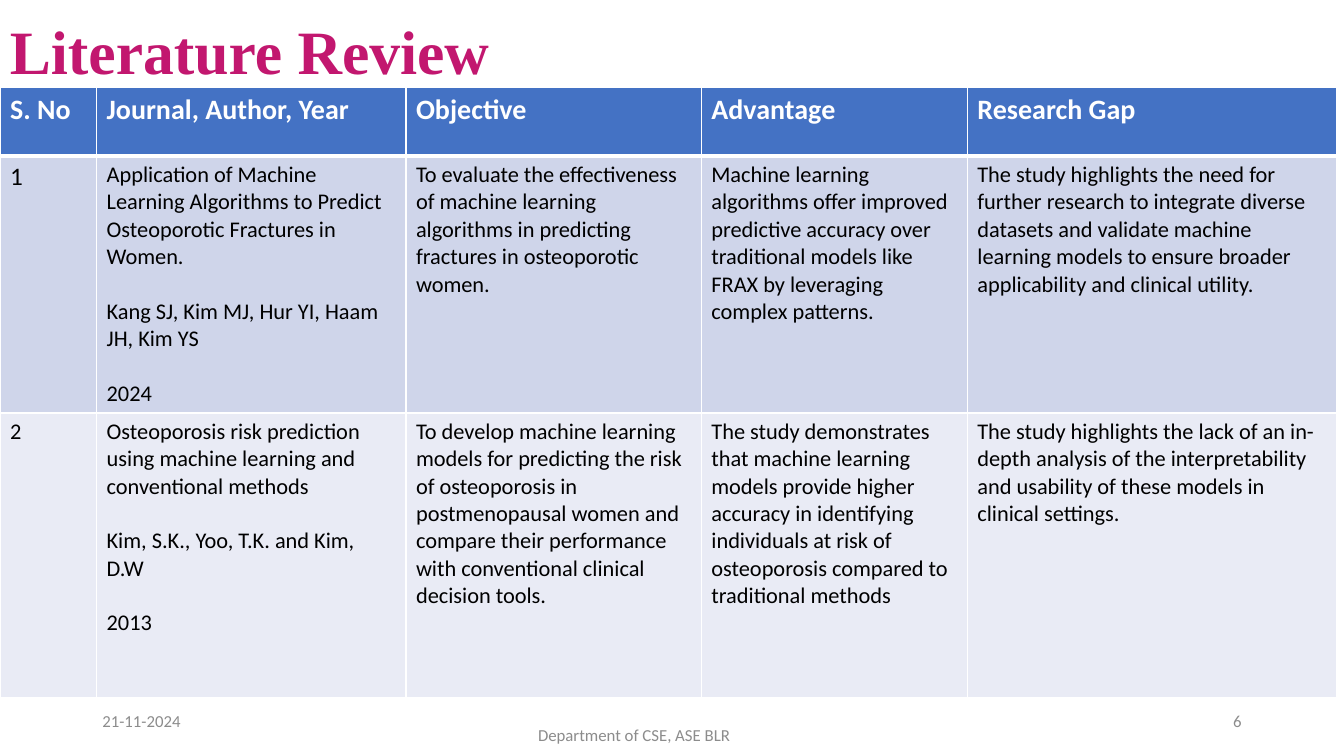
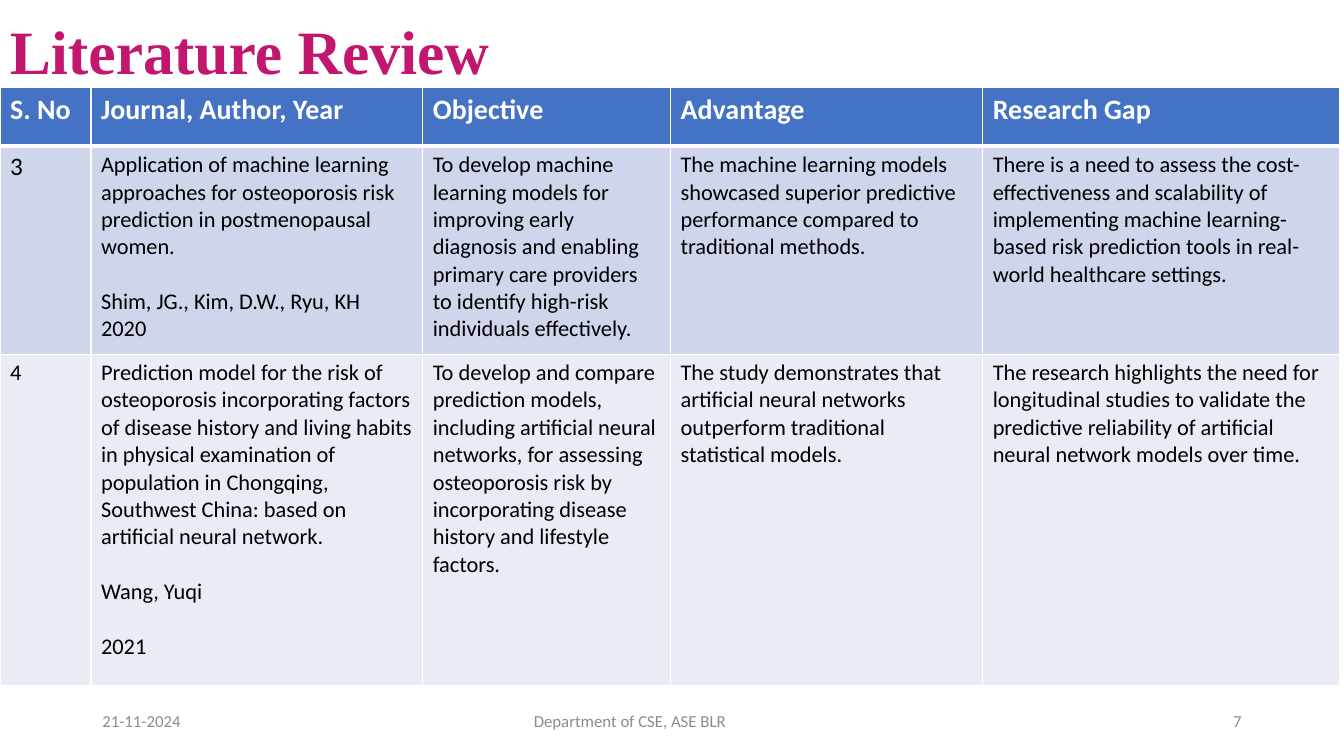
"""Build two literature review slides, each with a table of studies."""
import pptx
import pptx.dml.color
import pptx.enum.text
import pptx.util
import lxml.etree
from dataclasses import dataclass

Pt = pptx.util.Pt
RGB = pptx.dml.color.RGBColor.from_string
ALIGN = pptx.enum.text.PP_ALIGN
MIDDLE = pptx.enum.text.MSO_ANCHOR.MIDDLE
A = "http://schemas.openxmlformats.org/drawingml/2006/main"


@dataclass(frozen=True)
class Theme:
    title_font: str = "Times New Roman"
    body_font: str = "Calibri"
    title: str = "C2176F"
    header: str = "4472C4"
    bands: tuple = ("CFD5EA", "E9EBF5")
    white: str = "FFFFFF"
    text: str = "000000"
    footer: str = "8C8C8C"
    title_size: float = 44
    header_size: float = 20
    number_sizes: tuple = (18, 16)
    body_size: float = 16
    footer_size: float = 12
    line_gap: float = 19.5


theme = Theme()

HEADINGS = ["S. No", "Journal, Author, Year", "Objective", "Advantage", "Research Gap"]

SLIDES = [
    {
        "page": "6",
        "footer_at": (291, 510.5),
        "cols": [69, 221, 211, 190, 264],
        "rows": [49, 183.5, 203],
        "studies": [
            [
                ["1"],
                ["Application of Machine Learning Algorithms to Predict Osteoporotic Fractures in Women.",
                 "Kang SJ, Kim MJ, Hur YI, Haam JH, Kim YS",
                 "2024"],
                ["To evaluate the effectiveness of machine learning algorithms in predicting "
                 "fractures in osteoporotic women."],
                ["Machine learning algorithms offer improved predictive accuracy over traditional "
                 "models like FRAX by leveraging complex patterns."],
                ["The study highlights the need for further research to integrate diverse datasets "
                 "and validate machine learning models to ensure broader applicability and clinical utility."],
            ],
            [
                ["2"],
                ["Osteoporosis risk prediction using machine learning and conventional methods",
                 "Kim, S.K., Yoo, T.K. and Kim, D.W",
                 "2013"],
                ["To develop machine learning models for predicting the risk of osteoporosis in "
                 "postmenopausal women and compare their performance with conventional clinical decision tools."],
                ["The study demonstrates that machine learning models provide higher accuracy in "
                 "identifying individuals at risk of osteoporosis compared to traditional methods"],
                ["The study highlights the lack of an in-depth analysis of the interpretability "
                 "and usability of these models in clinical settings."],
            ],
        ],
    },
    {
        "page": "7",
        "footer_at": (288, 500.5),
        "cols": [65, 237, 177, 223, 255],
        "rows": [42, 148.5, 237],
        "studies": [
            [
                ["3"],
                ["Application of machine learning approaches for osteoporosis risk prediction in "
                 "postmenopausal women.",
                 "Shim, JG., Kim, D.W., Ryu, KH\n2020"],
                ["To develop machine learning models for improving early diagnosis and enabling "
                 "primary care providers to identify high-risk individuals effectively."],
                ["The machine learning models showcased superior predictive performance compared "
                 "to traditional methods."],
                ["There is a need to assess the cost-effectiveness and scalability of implementing "
                 "machine learning-based risk prediction tools in real-world healthcare settings."],
            ],
            [
                ["4"],
                ["Prediction model for the risk of osteoporosis incorporating factors of disease "
                 "history and living habits in physical examination of population in Chongqing, "
                 "Southwest China: based on artificial neural network.",
                 "Wang, Yuqi",
                 "2021"],
                ["To develop and compare prediction models, including artificial neural networks, "
                 "for assessing osteoporosis risk by incorporating disease history and lifestyle factors."],
                ["The study demonstrates that artificial neural networks outperform traditional "
                 "statistical models."],
                ["The research highlights the need for longitudinal studies to validate the "
                 "predictive reliability of artificial neural network models over time."],
            ],
        ],
    },
]


def set_text(tf, paragraphs, font, size, color, bold=False, align=ALIGN.LEFT):
    tf.word_wrap = True
    for i, text in enumerate(paragraphs):
        p = tf.add_paragraph() if i else tf.paragraphs[0]
        p.text = text
        p.alignment = align
        p.font.name, p.font.size, p.font.bold = font, Pt(size), bold
        p.font.color.rgb = RGB(color)
        if i:
            p.space_before = Pt(theme.line_gap)


def style_cell(cell, fill, top, bottom):
    cell.fill.solid()
    cell.fill.fore_color.rgb = RGB(fill)
    tcPr = cell._tc.get_or_add_tcPr()
    for i, (side, width) in enumerate([("L", 1), ("R", 1), ("T", top), ("B", bottom)]):
        ln = lxml.etree.Element(f"{{{A}}}ln{side}", w=str(Pt(width)))
        solid = lxml.etree.SubElement(ln, f"{{{A}}}solidFill")
        lxml.etree.SubElement(solid, f"{{{A}}}srgbClr", val=theme.white)
        tcPr.insert(i, ln)


prs = pptx.Presentation()
prs.slide_width, prs.slide_height = Pt(960), Pt(540)

for content in SLIDES:
    s = prs.slides.add_slide(prs.slide_layouts[6])

    sp = s.shapes.add_textbox(Pt(0), Pt(0), Pt(562), Pt(78))
    sp.text_frame.vertical_anchor = MIDDLE
    set_text(sp.text_frame, ["Literature Review"], theme.title_font, theme.title_size, theme.title, True)
    sp.text_frame.paragraphs[0].line_spacing = 0.9

    cols, rows = content["cols"], content["rows"]
    table = s.shapes.add_table(len(rows), len(cols), Pt(0), Pt(62.5), Pt(sum(cols)), Pt(sum(rows))).table
    table.horz_banding = False
    for column, width in zip(table.columns, cols):
        column.width = Pt(width)
    for row, height in zip(table.rows, rows):
        row.height = Pt(height)

    for c, heading in enumerate(HEADINGS):
        cell = table.cell(0, c)
        style_cell(cell, theme.header, 1, 3)
        set_text(cell.text_frame, [heading], theme.body_font, theme.header_size, theme.white, True)
    for r, study in enumerate(content["studies"]):
        for c, paragraphs in enumerate(study):
            cell = table.cell(r + 1, c)
            style_cell(cell, theme.bands[r], 1 if r else 3, 1)
            size = theme.body_size if c else theme.number_sizes[r]
            set_text(cell.text_frame, paragraphs, theme.body_font, size, theme.text)

    footer_left, footer_top = content["footer_at"]
    for text, left, top, width, align in [
        ("21-11-2024", 66, 500.5, 216, ALIGN.LEFT),
        ("Department of CSE, ASE BLR", footer_left, footer_top, 324, ALIGN.CENTER),
        (content["page"], 678, 500.5, 216, ALIGN.RIGHT),
    ]:
        sp = s.shapes.add_textbox(Pt(left), Pt(top), Pt(width), Pt(29))
        sp.text_frame.vertical_anchor = MIDDLE
        set_text(sp.text_frame, [text], theme.body_font, theme.footer_size, theme.footer, align=align)

prs.save("out.pptx")
